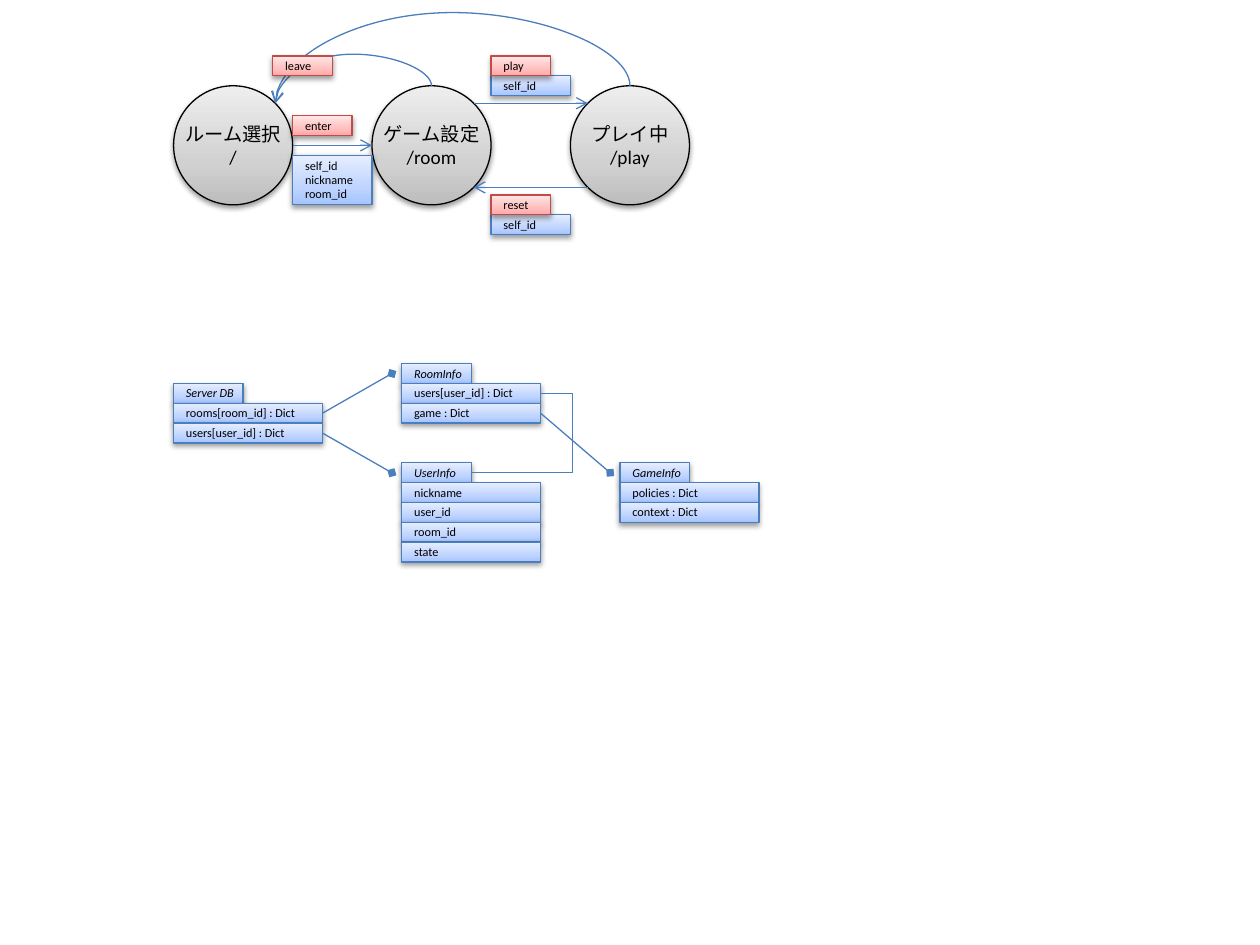
from math import sqrt
from copy import deepcopy

from lxml.etree import SubElement
from pptx import Presentation
from pptx.dml.color import RGBColor
from pptx.enum.shapes import MSO_CONNECTOR as Link, MSO_SHAPE as Preset
from pptx.enum.text import MSO_ANCHOR as Anchor, PP_ALIGN as Align
from pptx.oxml.ns import qn
from pptx.util import Cm, Pt

THEME = {
    "font": "Calibri", "ink": "000000", "link": "4B7EBC",
    "state_size": 11, "label_size": 7, "label_spacing": 8, "line": 0.75,
    "gray": (("BDBDBD", "D1D1D1", "EEEEEE"), "000000"),
    "blue": (("A4C4FF", "BFD4FF", "E6EEFF"), "4B7EBC"),
    "red": (("FFA6A5", "FFC0BF", "FFE7E7"), "BF4C48"),
}
STOPS = (0, 0.35, 1)

STATES = [("ルーム選択", "/"), ("ゲーム設定", "/room"), ("プレイ中", "/play")]
STATE_LEFT, STATE_TOP, STATE_PITCH, DIAMETER = 3.5, 1.73, 4.0, 2.4
RETURNS = [(1, 0.64), (2, 1.48)]

ROW = 0.4
EVENT_WIDTH, DATA_WIDTH, HEADER_WIDTH = 1.2, 1.6, 1.4
EVENTS = [("enter", 5.9, 2.33), ("play", 9.9, 1.13), ("reset", 9.9, 3.93), ("leave", 5.5, 1.13)]
PAYLOADS = [
    (["self_id", "nickname", "room_id"], 5.9, 3.13, 1.0),
    (["self_id"], 9.9, 1.53, ROW),
    (["self_id"], 9.9, 4.33, ROW),
]

RECORDS = {
    "Server DB": (3.5, 7.73, 3.0, ["rooms[room_id] : Dict", "users[user_id] : Dict"]),
    "RoomInfo": (8.1, 7.33, 2.8, ["users[user_id] : Dict", "game : Dict"]),
    "UserInfo": (8.1, 9.33, 2.8, ["nickname", "user_id", "room_id", "state"]),
    "GameInfo": (12.5, 9.33, 2.8, ["policies : Dict", "context : Dict"]),
}
OWNERSHIPS = [("RoomInfo", "Server DB", 0), ("UserInfo", "Server DB", 1), ("GameInfo", "RoomInfo", 1)]
DIAMOND_GAP, ELBOW_REACH = 0.2, 0.8


def add_box(slide, preset, bounds, style, lines, size, align, spacing=None, italic=False):
    """Add a shaded shape with one paragraph per line."""
    shape = slide.shapes.add_shape(preset, *map(Cm, bounds))
    colors, outline = THEME[style]
    shape.fill.gradient()
    shape.fill.gradient_angle = 90
    stop_list = shape._element.spPr.find(".//" + qn("a:gsLst"))
    stop_list.append(deepcopy(stop_list[0]))
    for stop, position, color in zip(shape.fill.gradient_stops, STOPS, colors):
        stop.position = position
        stop.color.rgb = RGBColor.from_string(color)
    shape.line.color.rgb = RGBColor.from_string(outline)
    shape.line.width = Pt(THEME["line"])
    add_shadow(shape)

    frame = shape.text_frame
    frame.word_wrap = False
    frame.vertical_anchor = Anchor.MIDDLE
    for index, line in enumerate(lines):
        paragraph = frame.add_paragraph() if index else frame.paragraphs[0]
        paragraph.alignment = align
        if spacing:
            paragraph.line_spacing = Pt(spacing)
        run = paragraph.add_run()
        run.text = line
        run.font.name = THEME["font"]
        run.font.size = Pt(size)
        run.font.color.rgb = RGBColor.from_string(THEME["ink"])
        if italic:
            run.font.italic = True
    return shape


def add_shadow(shape):
    """Give a shape a soft shadow straight below it."""
    shape.shadow.inherit = False
    effects = shape._element.spPr.find(qn("a:effectLst"))
    shadow = SubElement(effects, qn("a:outerShdw"), blurRad=str(Pt(3.1)), dist=str(Pt(1.6)),
                        dir="5400000", rotWithShape="0")
    color = SubElement(shadow, qn("a:srgbClr"), val=THEME["ink"])
    SubElement(color, qn("a:alpha"), val="38000")


def add_label(slide, bounds, style, lines, italic=False):
    """Add a small left-aligned rectangle."""
    return add_box(slide, Preset.RECTANGLE, bounds, style, lines, THEME["label_size"],
                   Align.LEFT, THEME["label_spacing"], italic)


def add_link(slide, kind, start, end, head=None, tail=None):
    """Add a connector with optional ends."""
    link = slide.shapes.add_connector(kind, *map(Cm, (*start, *end)))
    link.line.color.rgb = RGBColor.from_string(THEME["link"])
    link.line.width = Pt(THEME["line"])
    properties = link._element.spPr
    for tag, ending in (("a:headEnd", head), ("a:tailEnd", tail)):
        if ending:
            SubElement(properties.find(qn("a:ln")), qn(tag), type=ending)
    SubElement(properties, qn("a:effectLst"))
    return link


def set_bend(link, ratio):
    """Set where the middle section of a connector lies."""
    adjustments = link._element.spPr.find(qn("a:prstGeom")).get_or_add_avLst()
    SubElement(adjustments, qn("a:gd"), name="adj1", fmla=f"val {round(ratio * 100000)}")


def add_return(slide, start, end, lift):
    """Add a curved arrow that rises by lift and falls back to the left."""
    link = add_link(slide, Link.CURVE, start, end, tail="arrow")
    drop, span = end[1] - start[1], start[0] - end[0]
    link.left = Cm((start[0] + end[0] - drop) / 2)
    link.top = Cm((start[1] + end[1] - span) / 2)
    link.width, link.height = Cm(drop), Cm(span)
    transform = link._element.spPr.find(qn("a:xfrm"))
    for name, value in (("rot", "16200000"), ("flipH", "1"), ("flipV", "1")):
        transform.set(name, value)
    set_bend(link, -lift / drop)


def draw_states(slide):
    """Draw the state diagram."""
    radius = DIAMETER / 2
    diagonal = radius / sqrt(2)
    middle = STATE_TOP + radius
    centers = [STATE_LEFT + radius + index * STATE_PITCH for index in range(len(STATES))]
    for center, lines in zip(centers, STATES):
        add_box(slide, Preset.OVAL, (center - radius, STATE_TOP, DIAMETER, DIAMETER), "gray",
                lines, THEME["state_size"], Align.CENTER)
    choosing, setting, playing = centers
    arrows = [
        ((choosing + radius, middle), (setting - radius, middle)),
        ((setting + diagonal, middle - diagonal), (playing - diagonal, middle - diagonal)),
        ((playing - diagonal, middle + diagonal), (setting + diagonal, middle + diagonal)),
    ]
    for start, end in arrows:
        add_link(slide, Link.STRAIGHT, start, end, tail="arrow")
    for index, lift in RETURNS:
        add_return(slide, (centers[index], STATE_TOP), (choosing + diagonal, middle - diagonal), lift)
    for lines, left, top, height in PAYLOADS:
        add_label(slide, (left, top, DATA_WIDTH, height), "blue", lines)
    for name, left, top in EVENTS:
        add_label(slide, (left, top, EVENT_WIDTH, ROW), "red", [name])


def draw_records(slide):
    """Draw the data records and their relations."""
    rows = {}
    for name, (left, top, width, fields) in RECORDS.items():
        add_label(slide, (left, top, HEADER_WIDTH, ROW), "blue", [name], italic=True)
        rows[name] = [add_label(slide, (left, top + ROW * number, width, ROW), "blue", [field])
                      for number, field in enumerate(fields, 1)]
    for part, owner, index in OWNERSHIPS:
        left, top = RECORDS[part][:2]
        owner_left, owner_top, owner_width = RECORDS[owner][:3]
        link = add_link(slide, Link.STRAIGHT, (left - DIAMOND_GAP, top + ROW / 2),
                        (owner_left + owner_width, owner_top + ROW * (index + 1.5)), head="diamond")
        link.end_connect(rows[owner][index], 3)

    user_left, user_top = RECORDS["UserInfo"][:2]
    room_left, room_top, room_width = RECORDS["RoomInfo"][:3]
    start = user_left + HEADER_WIDTH, user_top + ROW / 2
    end = room_left + room_width, room_top + ROW * 1.5
    elbow = add_link(slide, Link.ELBOW, start, end)
    span = end[0] - start[0]
    set_bend(elbow, (span + ELBOW_REACH * 0.8) / span)


def main():
    """Build and save the slide."""
    presentation = Presentation()
    presentation.slide_width, presentation.slide_height = Cm(25.4), Cm(19.05)
    slide = presentation.slides.add_slide(presentation.slide_layouts[6])
    draw_states(slide)
    draw_records(slide)
    presentation.save("out.pptx")


if __name__ == "__main__":
    main()
